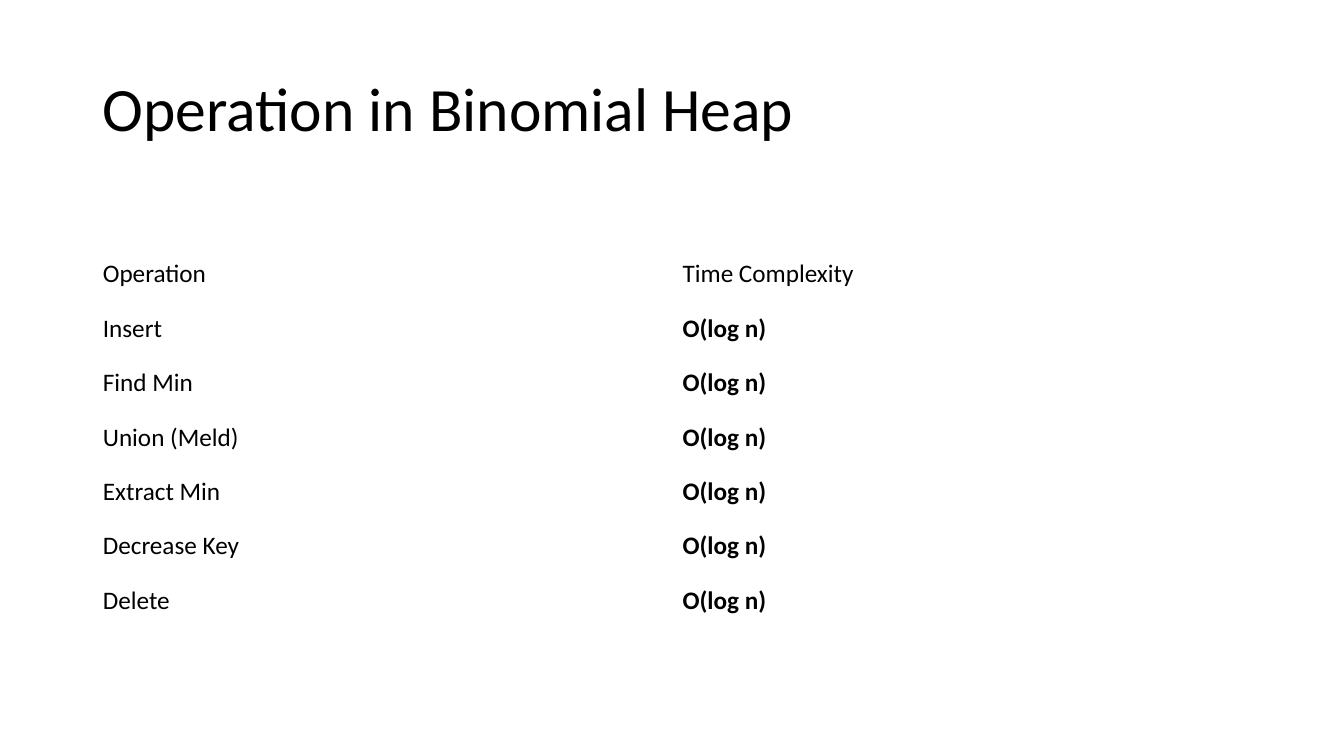
"""Build a slide listing the time complexity of binomial heap operations."""

import dataclasses

import pptx
import pptx.dml.color
import pptx.enum.text
import pptx.slide
import pptx.text.text
import pptx.util

Inches = pptx.util.Inches

COLORS = {"text": "000000"}
FONT = "Calibri"
LEFT = 0.92
WIDTH = 11.5
ROW_HEIGHT = 0.54


@dataclasses.dataclass(frozen=True)
class Operation:
    name: str
    complexity: str = "O(log n)"
    bold: bool = True


OPERATIONS = [
    Operation("Operation", "Time Complexity", bold=False),
    Operation("Insert"),
    Operation("Find Min"),
    Operation("Union (Meld)"),
    Operation("Extract Min"),
    Operation("Decrease Key"),
    Operation("Delete"),
]


def write_text(
    paragraph: pptx.text.text._Paragraph, text: str, size: float, bold: bool = False
) -> None:
    paragraph.text = text
    for run in paragraph.runs:
        run.font.name = FONT
        run.font.size = pptx.util.Pt(size)
        run.font.bold = bold
        run.font.color.rgb = pptx.dml.color.RGBColor.from_string(COLORS["text"])


def add_title(slide: pptx.slide.Slide, text: str) -> None:
    title = slide.shapes.add_textbox(
        Inches(LEFT), Inches(0.13), Inches(WIDTH), Inches(1.95)
    )
    frame = title.text_frame
    frame.word_wrap = True
    frame.vertical_anchor = pptx.enum.text.MSO_ANCHOR.MIDDLE
    paragraph = frame.paragraphs[0]
    write_text(paragraph, text, 44)
    paragraph.line_spacing = 0.9


def add_operations(slide: pptx.slide.Slide, operations: list[Operation]) -> None:
    table = slide.shapes.add_table(
        len(operations), 2, Inches(LEFT), Inches(2.45),
        Inches(WIDTH), Inches(ROW_HEIGHT * len(operations)),
    ).table
    table.first_row = False
    table.horz_banding = False
    for row, operation in zip(table.rows, operations):
        row.height = Inches(ROW_HEIGHT)
        contents = [(operation.name, False), (operation.complexity, operation.bold)]
        for cell, (text, bold) in zip(row.cells, contents):
            cell.fill.background()
            cell.vertical_anchor = pptx.enum.text.MSO_ANCHOR.MIDDLE
            write_text(cell.text_frame.paragraphs[0], text, 18, bold)


def main() -> None:
    presentation = pptx.Presentation()
    presentation.slide_width = Inches(13.33)
    presentation.slide_height = Inches(7.5)
    slide = presentation.slides.add_slide(presentation.slide_layouts[6])
    add_title(slide, "Operation in Binomial Heap")
    add_operations(slide, OPERATIONS)
    presentation.save("out.pptx")


if __name__ == "__main__":
    main()
